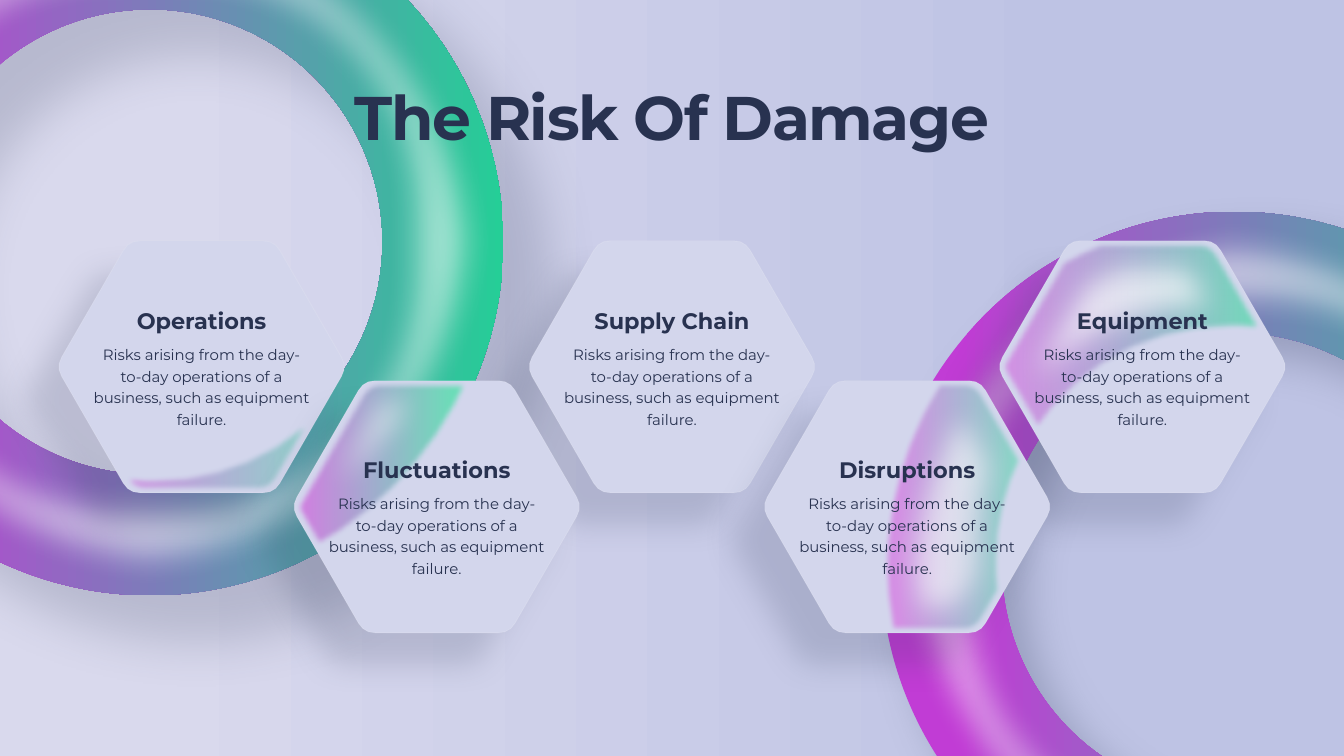
from itertools import pairwise
from math import atan2, ceil, cos, dist, radians, remainder, sin, tau

from lxml.etree import SubElement
from pptx import Presentation
from pptx.dml.color import RGBColor
from pptx.enum.shapes import MSO_SHAPE
from pptx.enum.text import MSO_ANCHOR, PP_ALIGN
from pptx.oxml.ns import qn
from pptx.util import Pt

INK, PURPLE, GREEN, LAVENDER, WHITE = "283250", "C13CD5", "25CE97", "BEC3E4", "FFFFFF"
RING_RADIUS, RING_HOLE = 378.7, 249.2
HEXAGON_RADIUS, CORNER_CUT = 155.9, 11.9
DESCRIPTION = ("Risks arising from the day-to-day operations of a business, "
               "such as equipment failure.")


def paint(fill, stops):
    if len(stops) == 1:
        fill.solid()
        fill.fore_color.rgb = RGBColor.from_string(stops[0][1])
        return
    fill.gradient()
    fill.gradient_angle = 0
    for stop, (position, colour, _) in zip(fill.gradient_stops, stops):
        stop.position = position / 100
        stop.color.rgb = RGBColor.from_string(colour)


def finish(shape, stops, soft=0, shadow=None, edge=None):
    paint(shape.fill, stops)
    shape.line.fill.background()
    opacities = [stop[2] for stop in stops]
    if edge:
        paint(shape.line.fill, [(0, WHITE, edge)])
        shape.line.width = Pt(1)
        opacities.append(edge)
    for colour, opacity in zip(list(shape.element.iter(qn("a:srgbClr"))), opacities):
        if opacity < 100:
            SubElement(colour, qn("a:alpha"), val=str(opacity * 1000))
    shape.shadow.inherit = False
    effects = next(shape.element.iter(qn("a:effectLst")))
    if shadow:
        opacity, blur, distance, direction = shadow
        outer = SubElement(effects, qn("a:outerShdw"), blurRad=str(Pt(blur)),
                           dist=str(Pt(distance)), dir=str(direction * 60000),
                           algn="ctr", rotWithShape="0")
        tint = SubElement(outer, qn("a:srgbClr"), val=INK)
        SubElement(tint, qn("a:alpha"), val=str(opacity * 1000))
    if soft:
        SubElement(effects, qn("a:softEdge"), rad=str(Pt(soft)))


presentation = Presentation()
presentation.slide_width, presentation.slide_height = Pt(1440), Pt(810)
slide = presentation.slides.add_slide(presentation.slide_layouts[5])
paint(slide.background.fill, [(11, "D9D9ED", 100), (80, LAVENDER, 100)])

left_ring, right_ring = (160.6, 259.2), (1322.6, 605.5)
for (x, y), shadow in ((left_ring, (18, 54, 71, 45)), (right_ring, (25, 47, 37, 45))):
    for radius, thickness, stops, soft, cast in (
        (RING_RADIUS, 0.171, [(11, PURPLE, 100), (100, GREEN, 100)], 0, shadow),
        (372.2, 0.16, [(0, WHITE, 56)], 36, None),
    ):
        ring = slide.shapes.add_shape(MSO_SHAPE.DONUT, Pt(x - radius), Pt(y - radius),
                                      Pt(2 * radius), Pt(2 * radius))
        ring.adjustments[0] = thickness
        finish(ring, stops, soft, cast)

title = slide.shapes.title
slide.shapes.element.append(title.element)
title.left, title.top, title.width, title.height = Pt(183), Pt(80.6), Pt(1074), Pt(87)
title.text_frame.text = "The Risk Of Damage"
title.text_frame.vertical_anchor = MSO_ANCHOR.TOP
heading = title.text_frame.paragraphs[0]
heading.alignment = PP_ALIGN.CENTER
for attribute, value in {"name": "Montserrat", "size": Pt(66), "bold": True}.items():
    setattr(heading.runs[0].font, attribute, value)
paint(heading.runs[0].font.fill, [(0, INK, 100)])
next(title.element.iter(qn("a:rPr"))).set("spc", "-150")

risks = (
    (2, "Supply Chain", None, [], None),
    (0, "Operations", left_ring, [(0, PURPLE, 78), (100, GREEN, 78)], None),
    (1, "Fluctuations", left_ring, [(0, PURPLE, 100), (88, GREEN, 100)], (-10, -6, 63)),
    (4, "Equipment", right_ring, [(0, PURPLE, 78), (100, GREEN, 100)], (-1, 1, 66)),
    (3, "Disruptions", right_ring, [(11, PURPLE, 78), (100, GREEN, 78)], (4, 2, 58)),
)
for column, risk, ring_center, glow, highlight in risks:
    lowered = column % 2
    x, y = 216 + 252 * column, 393 + 150 * lowered
    corners = [(x + HEXAGON_RADIUS * cos(radians(a)), y + HEXAGON_RADIUS * sin(radians(a)))
               for a in range(0, 360, 60)]
    cut = CORNER_CUT / HEXAGON_RADIUS
    hexagon = []
    for i, (cx, cy) in enumerate(corners):
        (px, py), (nx, ny) = corners[i - 1], corners[(i + 1) % 6]
        start = (cx + cut * (px - cx), cy + cut * (py - cy))
        end = (cx + cut * (nx - cx), cy + cut * (ny - cy))
        for t in (step / 3 for step in range(4)):
            hexagon.append(tuple((1 - t) ** 2 * s + 2 * t * (1 - t) * c + t * t * e
                                 for s, c, e in zip(start, (cx, cy), end)))
        for t in (cut + (1 - 2 * cut) * step / 40 for step in range(1, 40)):
            hexagon.append((cx + t * (nx - cx), cy + t * (ny - cy)))

    layers = [(hexagon, [(0, LAVENDER, 100)], 0, (16, 33, 49, 135), None)]
    if ring_center:
        rx, ry = ring_center
        inside = [p for p in hexagon if RING_HOLE <= dist(p, ring_center) <= RING_RADIUS]
        overlap = []
        for here, there in pairwise(inside + inside[:1]):
            overlap.append(here)
            gap = dist(here, there)
            if gap > 9:
                radius = (dist(here, ring_center) + dist(there, ring_center)) / 2
                begin = atan2(here[1] - ry, here[0] - rx)
                sweep = remainder(atan2(there[1] - ry, there[0] - rx) - begin, tau)
                steps = ceil(gap / 36)
                overlap += [(rx + radius * cos(begin + sweep * k / steps),
                             ry + radius * sin(begin + sweep * k / steps))
                            for k in range(1, steps)]
        layers.append((overlap, glow, 6, None, None))
        if highlight:
            dx, dy, opacity = highlight
            layers.append(([(px + dx, py + dy) for px, py in overlap],
                           [(0, WHITE, opacity)], 30, None, None))
    layers.append((hexagon, [(0, WHITE, 33)], 0, None, 15))

    for outline, stops, soft, shadow, edge in layers:
        neighbours = zip(outline[-1:] + outline, outline, outline[1:] + outline[:1])
        bends = [(Pt(bx), Pt(by)) for (ax, ay), (bx, by), (cx, cy) in neighbours
                 if abs((bx - ax) * (cy - by) - (by - ay) * (cx - bx)) > 0.5]
        builder = slide.shapes.build_freeform(*bends[0])
        builder.add_line_segments(bends[1:], close=True)
        finish(builder.convert_to_shape(), stops, soft, shadow, edge)

    for words, offset, width, height, size, bold, spacing in (
        (risk, -68, 235, 36, 24, True, 1.0),
        (DESCRIPTION, -30, 246, 100, 16, False, 1.2),
    ):
        label = slide.shapes.add_textbox(Pt(x - width / 2), Pt(y + offset + 10 * lowered),
                                         Pt(width), Pt(height))
        label.text_frame.word_wrap = True
        paragraph = label.text_frame.paragraphs[0]
        paragraph.alignment = PP_ALIGN.CENTER
        paragraph.line_spacing = spacing
        run = paragraph.add_run()
        run.text = words
        for attribute, value in {"name": "Montserrat", "size": Pt(size), "bold": bold}.items():
            setattr(run.font, attribute, value)
        paint(run.font.fill, [(0, INK, 100)])

presentation.save("out.pptx")
